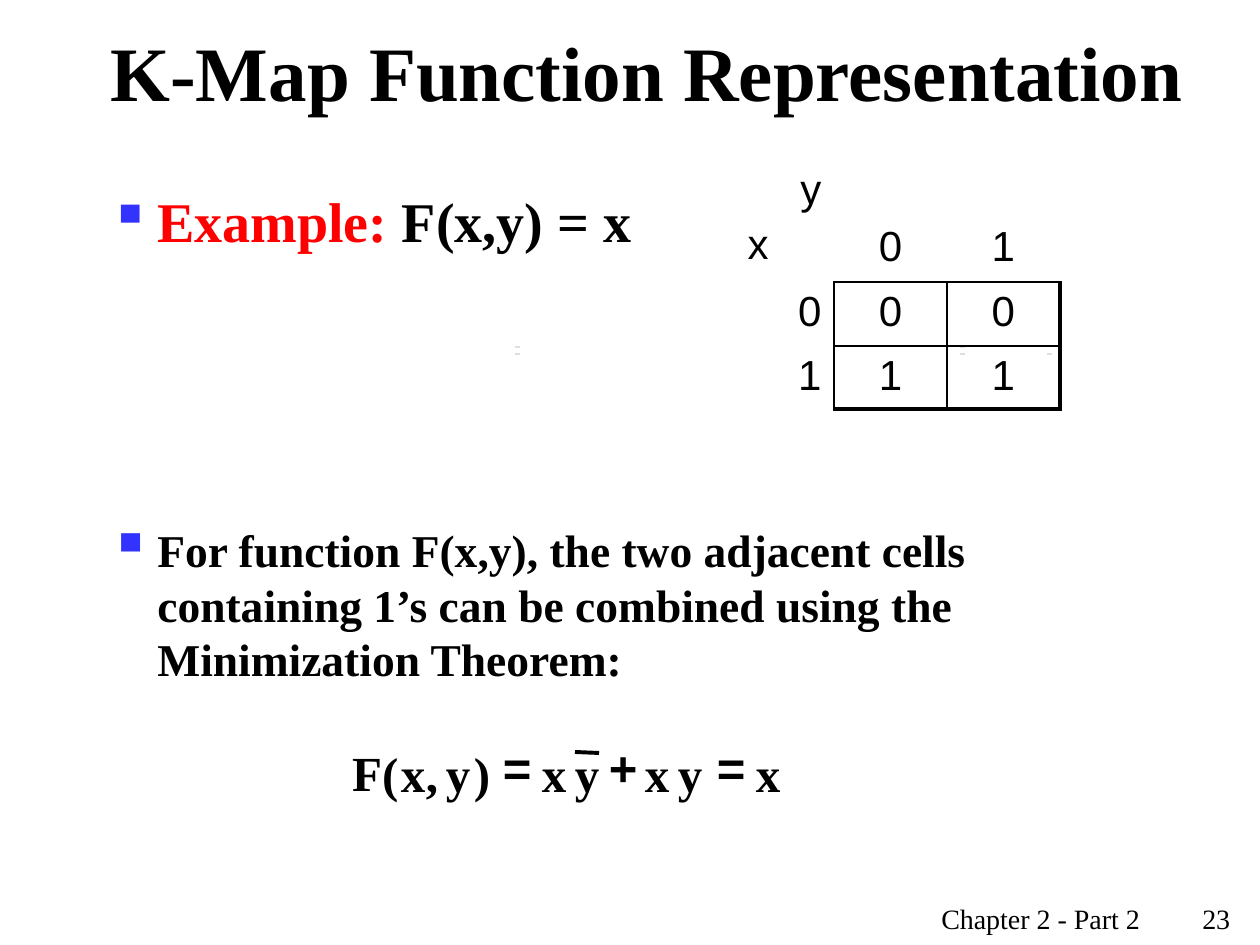
import pptx
import pptx.dml.color
import pptx.enum.shapes
import pptx.enum.text
import pptx.oxml.ns
import pptx.util
from lxml import etree

EMU_PER_PX = 914400 / 126
SERIF, SANS = "Times New Roman", "Arial"
BLACK, RED, BLUE = "000000", "FF0000", "3333FF"
ALIGN = pptx.enum.text.PP_ALIGN
ANCHOR = pptx.enum.text.MSO_ANCHOR


def px(length):
    return pptx.util.Emu(round(length * EMU_PER_PX))


def color(value):
    return pptx.dml.color.RGBColor.from_string(value)


def add_xml(parent, tag, **attributes):
    return etree.SubElement(parent, pptx.oxml.ns.qn(tag), attributes)


class SlideBuilder:
    def __init__(self, slide):
        self.slide = slide

    def run(self, paragraph, text, size, font=SERIF, bold=True, fill=BLACK):
        run = paragraph.add_run()
        run.text = text
        run.font.name = font
        run.font.size = pptx.util.Pt(size)
        run.font.bold = bold
        run.font.color.rgb = color(fill)

    def text_box(self, left, top, width, height, shapes=None, wrap=True):
        """Add an empty text box to the slide or to a group and return its frame."""
        shapes = self.slide.shapes if shapes is None else shapes
        frame = shapes.add_textbox(px(left), px(top), px(width), px(height)).text_frame
        frame.word_wrap = wrap
        return frame

    def title(self, text):
        frame = self.text_box(98, 0, 1131, 141)
        frame.vertical_anchor = ANCHOR.MIDDLE
        self.run(frame.paragraphs[0], text, 44)

    def footer(self, text, number):
        paragraph = self.text_box(929, 895, 328, 48).paragraphs[0]
        tabs = add_xml(paragraph._p.get_or_add_pPr(), "a:tabLst")
        add_xml(tabs, "a:tab", pos=str(px(261)), algn="l")
        self.run(paragraph, f"{text}\t{number}", 16, bold=False)

    def bullet(self, top, height, size, bullet_percent, runs):
        paragraph = self.text_box(97, top, 1071, height).paragraphs[0]
        properties = paragraph._p.get_or_add_pPr()
        properties.set("marL", str(px(48)))
        properties.set("indent", str(-px(48)))
        add_xml(add_xml(properties, "a:buClr"), "a:srgbClr", val=BLUE)
        add_xml(properties, "a:buSzPct", val=str(bullet_percent * 1000))
        add_xml(properties, "a:buChar", char="▪")
        for text, fill in runs:
            self.run(paragraph, text, size, fill=fill)

    def dash(self, left, top):
        shape = self.slide.shapes.add_shape(
            pptx.enum.shapes.MSO_SHAPE.RECTANGLE, px(left), px(top), px(5), px(0.3))
        shape.shadow.inherit = False
        shape.fill.solid()
        shape.fill.fore_color.rgb = color(BLACK)
        shape.line.fill.background()

    def line(self, shapes, start, end, width):
        connector = shapes.add_connector(
            pptx.enum.shapes.MSO_CONNECTOR.STRAIGHT, *map(px, start + end))
        connector.line.color.rgb = color(BLACK)
        connector.line.width = pptx.util.Pt(width)
        add_xml(connector._element.spPr, "a:effectLst")

    def equation(self, glyphs, overline):
        """Set single glyphs side by side; operators are sans and sit higher."""
        shapes = self.slide.shapes.add_group_shape().shapes
        self.line(shapes, *overline, 2.25)
        for text, left, width in glyphs:
            operator = text in "=+"
            frame = self.text_box(left, 737 if operator else 743, width, 59, shapes, wrap=False)
            frame.margin_left = frame.margin_right = 0
            frame.margin_top = frame.margin_bottom = 0
            self.run(frame.paragraphs[0], text, 28, SANS if operator else SERIF)

    def borders(self, cell, widths):
        """Draw the sides that have a width in points and clear the others."""
        properties = cell._tc.get_or_add_tcPr()
        for side in "LRTB":
            width = widths.get(side, 0)
            line = etree.Element(pptx.oxml.ns.qn(f"a:ln{side}"), w=str(pptx.util.Pt(width)))
            if width:
                add_xml(add_xml(line, "a:solidFill"), "a:srgbClr", val=BLACK)
            else:
                add_xml(line, "a:noFill")
            properties.insert("LRTB".index(side), line)

    def karnaugh_map(self, left, top, columns, rows, values):
        table = self.slide.shapes.add_table(
            len(rows), len(columns), px(left), px(top), px(sum(columns)), px(sum(rows))).table
        table.first_row = table.horz_banding = False
        for column, width in zip(table.columns, columns):
            column.width = px(width)
        for row, height in zip(table.rows, rows):
            row.height = px(height)
        last_row, last_column = len(rows) - 1, len(columns) - 1
        for r, row_values in enumerate(values):
            for c, lines in enumerate(row_values):
                cell = table.cell(r, c)
                cell.fill.background()
                if r == 0 and c > 0:
                    cell.vertical_anchor = ANCHOR.BOTTOM
                    cell.margin_bottom = px(12)
                for i, text in enumerate(lines):
                    frame = cell.text_frame
                    paragraph = frame.add_paragraph() if i else frame.paragraphs[0]
                    paragraph.alignment = ALIGN.CENTER if c else ALIGN.LEFT if i else ALIGN.RIGHT
                    if i:
                        paragraph.space_before = pptx.util.Pt(4.8)
                    self.run(paragraph, text, 24, SANS, bold=False)
                if r and c:
                    widths = {"L": 1, "T": 1, "R": 2.25 if c == last_column else 1,
                              "B": 2.25 if r == last_row else 1}
                else:
                    widths = {"R": 1} if r else {"B": 1} if c else {}
                self.borders(cell, widths)


def main():
    presentation = pptx.Presentation()
    presentation.slide_width, presentation.slide_height = px(1260), px(945)
    builder = SlideBuilder(presentation.slides.add_slide(presentation.slide_layouts[6]))

    builder.footer("Chapter 2 - Part 2", 23)
    builder.title("K-Map Function Representation")
    builder.bullet(180, 80, 32, 100, [("Example: ", RED), ("F(x,y) = x", BLACK)])
    builder.bullet(516, 190, 26, 125, [
        ("For function F(x,y), the two adjacent cells containing 1’s can be combined "
         "using the Minimization Theorem:", BLACK)])
    for left, top in [(515, 354), (960, 354), (1047, 354), (515, 347), (960, 347)]:
        builder.dash(left, top)
    builder.equation(
        [("F", 352, 30), ("(", 382, 16), ("x", 401, 24), (",", 426, 12), ("y", 446, 24),
         (")", 474, 16), ("=", 503, 26), ("x", 542, 24), ("y", 575, 24), ("+", 609, 26),
         ("x", 645, 24), ("y", 678, 24), ("=", 717, 26), ("x", 756, 24)],
        overline=((575, 752), (599, 753)))
    builder.karnaugh_map(735, 160, [99, 113, 113], [121, 64, 63], [
        [["y", "x"], ["0"], ["1"]],
        [["0"], ["0"], ["0"]],
        [["1"], ["1"], ["1"]]])
    presentation.save("out.pptx")


if __name__ == "__main__":
    main()
